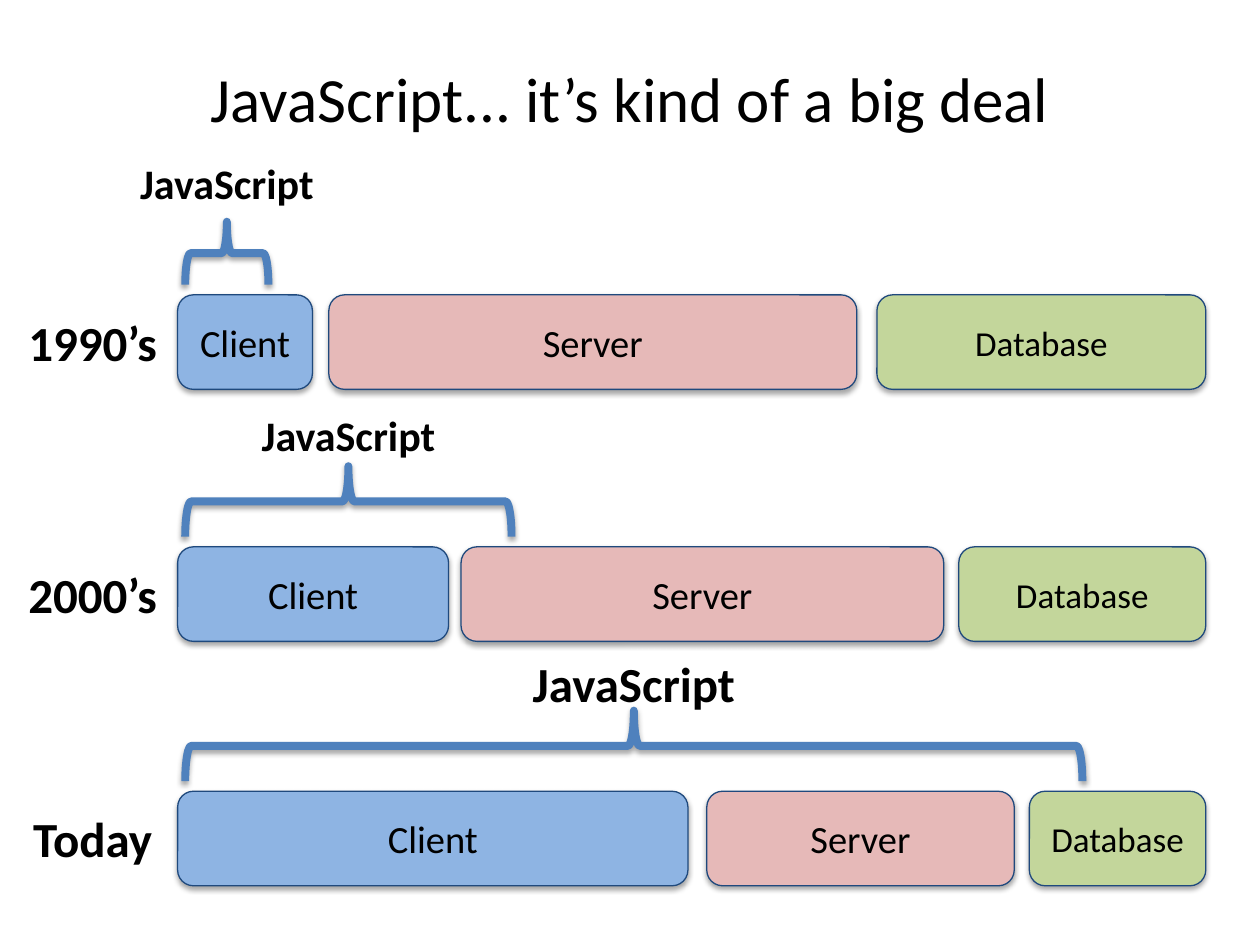
from lxml.etree import SubElement
from pptx import Presentation
from pptx.dml.color import RGBColor
from pptx.enum.shapes import MSO_SHAPE as Shape
from pptx.enum.text import MSO_ANCHOR as Anchor, PP_ALIGN as Align
from pptx.oxml.ns import qn
from pptx.util import Inches, Pt

COLORS = {
    "text": "000000", "edge": "1F497D", "brace": "4F81BD", "shade": "000000",
    "Client": "8EB4E3", "Server": "E6B9B8", "Database": "C3D69B",
}
SIZES = {"Client": 22, "Server": 22, "Database": 20}
LEFT, HIGH = 1.41, 0.75
ROWS = [
    ("1990’s", 2.34, [(1.41, 1.07), (2.61, 4.19), (6.96, 2.61)], 0.66, 0.5, 24),
    ("2000’s", 4.34, [(1.41, 2.15), (3.66, 3.83), (7.61, 1.96)], 2.59, 0.56, 24),
    ("Today", 6.28, [(1.41, 4.05), (5.61, 2.44), (8.17, 1.4)], 7.12, 0.56, 28),
]


def color(name):
    """Return the named colour."""
    return RGBColor.from_string(COLORS[name])


def write(shape, text, size=22, bold=False, pad=(0, 0), anchor=Anchor.TOP):
    """Put one centred line of text into a shape."""
    frame = shape.text_frame
    frame.word_wrap = True
    frame.vertical_anchor = anchor
    frame.margin_left = frame.margin_right = Inches(pad[0])
    frame.margin_top = frame.margin_bottom = Inches(pad[1])
    para = frame.paragraphs[0]
    para.alignment = Align.CENTER
    run = para.add_run()
    run.text = text
    font = run.font
    font.name, font.size, font.bold = "Calibri", Pt(size), bold
    font.color.rgb = color("text")


def label(slide, box, text, **style):
    """Add a text box."""
    write(slide.shapes.add_textbox(*map(Inches, box)), text, **style)


def draw(slide, kind, box, line, width):
    """Add an outlined shape with a soft shadow below it."""
    shape = slide.shapes.add_shape(kind, *map(Inches, box))
    shape.line.color.rgb = color(line)
    shape.line.width = Pt(width)
    shape.shadow.inherit = False
    glow = SubElement(
        shape.element.spPr.find(qn("a:effectLst")), qn("a:outerShdw"),
        blurRad=str(Pt(3.1)), dist=str(Pt(1.8)), dir="5400000", rotWithShape="0",
    )
    tint = SubElement(glow, qn("a:srgbClr"), val=COLORS["shade"])
    SubElement(tint, qn("a:alpha"), val="35000")
    return shape


def tier(slide, box, name):
    """Draw one named tier of the stack."""
    shape = draw(slide, Shape.ROUNDED_RECTANGLE, box, "edge", 0.75)
    shape.fill.solid()
    shape.fill.fore_color.rgb = color(name)
    write(shape, name, size=SIZES[name], pad=(0.1, 0.05), anchor=Anchor.MIDDLE)


def brace(slide, box):
    """Draw a brace that points up and fills the box."""
    x, y, w, h = box
    turned = (x + (w - h) / 2, y + (h - w) / 2, h, w)
    shape = draw(slide, Shape.LEFT_BRACE, turned, "brace", 4.5)
    shape.fill.background()
    shape.rotation = 90


def era(slide, top, name, spans, reach, rise, size):
    """Draw one era: its tiers, its brace and both labels."""
    for part, (x, w) in zip(SIZES, spans):
        tier(slide, (x, top, w, HIGH), part)
    start = LEFT + 0.06
    brace(slide, (start, top - 0.08 - rise, reach, rise))
    wide = 1.79
    mid = start + reach / 2
    label(slide, (mid - wide / 2, top - 1.09, wide, 0.4), "JavaScript",
          size=size, bold=True)
    label(slide, (0, top + 0.14, 1.47, 0.47), name, size=28, bold=True)


def main():
    """Build the slide and save it."""
    deck = Presentation()
    deck.slide_width, deck.slide_height = Inches(10), Inches(7.5)
    slide = deck.slides.add_slide(deck.slide_layouts[6])
    label(slide, (0.5, 0.3, 9, 0.95), "JavaScript... it’s kind of a big deal",
          size=36, pad=(0.1, 0.05), anchor=Anchor.MIDDLE)
    for name, top, *rest in ROWS:
        era(slide, top, name, *rest)
    deck.save("out.pptx")


if __name__ == "__main__":
    main()
